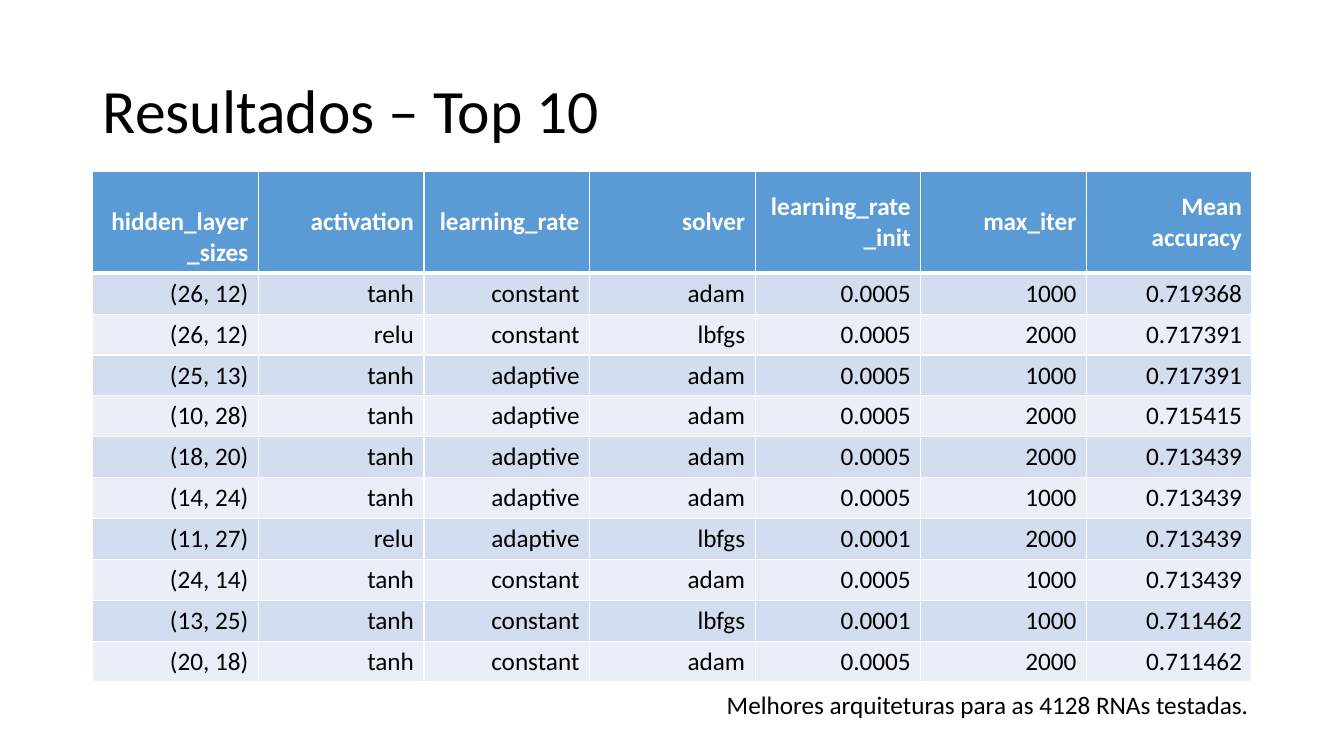
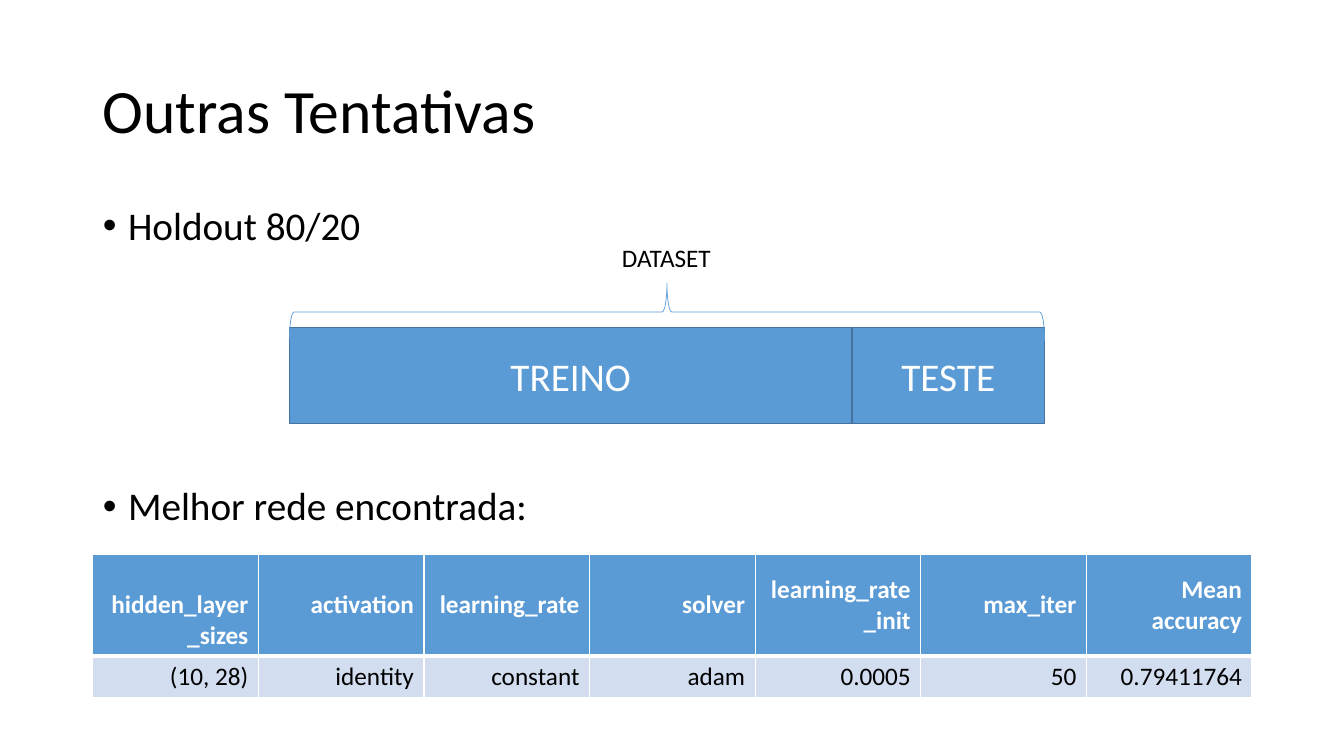
from lxml.etree import SubElement
from pptx import Presentation
from pptx.dml.color import RGBColor
from pptx.enum.shapes import MSO_SHAPE
from pptx.enum.text import MSO_ANCHOR, MSO_AUTO_SIZE, PP_ALIGN
from pptx.oxml.ns import qn
from pptx.util import Inches, Pt

FONT = "Calibri"
COLORS = {
    "text": "000000",
    "white": "FFFFFF",
    "accent": "5B9BD5",
    "outline": "43739E",
    "band_dark": "D2DEEF",
    "band_light": "EAEFF7",
}
LEFT, WIDTH = Inches(0.92), Inches(11.5)
HEADER_HEIGHT = Inches(1.01)
TITLE_ONLY, TITLE_AND_BODY = 5, 1

HEADERS = ["hidden_layer_sizes", "activation", "learning_rate", "solver",
           "learning_rate_init", "max_iter", "Mean\naccuracy"]
TOP_TEN = [
    ["(26, 12)", "tanh", "constant", "adam", "0.0005", "1000", "0.719368"],
    ["(26, 12)", "relu", "constant", "lbfgs", "0.0005", "2000", "0.717391"],
    ["(25, 13)", "tanh", "adaptive", "adam", "0.0005", "1000", "0.717391"],
    ["(10, 28)", "tanh", "adaptive", "adam", "0.0005", "2000", "0.715415"],
    ["(18, 20)", "tanh", "adaptive", "adam", "0.0005", "2000", "0.713439"],
    ["(14, 24)", "tanh", "adaptive", "adam", "0.0005", "1000", "0.713439"],
    ["(11, 27)", "relu", "adaptive", "lbfgs", "0.0001", "2000", "0.713439"],
    ["(24, 14)", "tanh", "constant", "adam", "0.0005", "1000", "0.713439"],
    ["(13, 25)", "tanh", "constant", "lbfgs", "0.0001", "1000", "0.711462"],
    ["(20, 18)", "tanh", "constant", "adam", "0.0005", "2000", "0.711462"],
]
BEST_NETWORK = [
    ["(10, 28)", "identity", "constant", "adam", "0.0005", "50", "0.79411764"],
]


def color(name):
    return RGBColor.from_string(COLORS[name])


def write(frame, text, size=18, ink="text", bold=False, align=PP_ALIGN.LEFT,
          anchor=MSO_ANCHOR.TOP, line_spacing=None, gap=0, hanging=None):
    """Fill a text frame, one paragraph a line, with gap points between them."""
    frame.text = text
    frame.vertical_anchor = anchor
    for index, para in enumerate(frame.paragraphs):
        if hanging is not None:
            properties = para._p.get_or_add_pPr()
            properties.set("marL", str(hanging))
            properties.set("indent", str(-hanging))
            SubElement(properties, qn("a:buChar")).set("char", "•")
        para.alignment = align
        para.line_spacing = line_spacing
        para.space_before = Pt(gap if index else 0)
        para.font.name = FONT
        para.font.size = Pt(size)
        para.font.bold = bold
        para.font.color.rgb = color(ink)


def place(shape, left, top, width, height):
    shape.left, shape.top, shape.width, shape.height = left, top, width, height


def add_page(deck, layout, title):
    page = deck.slides.add_slide(deck.slide_layouts[layout])
    place(page.shapes.title, LEFT, Inches(0.4), WIDTH, Inches(1.45))
    frame = page.shapes.title.text_frame
    frame.auto_size = MSO_AUTO_SIZE.NONE
    write(frame, title, size=44, anchor=MSO_ANCHOR.MIDDLE, line_spacing=0.9)
    return page


def add_label(page, text, left, top, width, height):
    box = page.shapes.add_textbox(left, top, width, height)
    box.text_frame.word_wrap = False
    box.text_frame.auto_size = MSO_AUTO_SIZE.SHAPE_TO_FIT_TEXT
    write(box.text_frame, text)


def add_borders(cell, top, bottom):
    properties = cell._tc.get_or_add_tcPr()
    for side, points in (("L", 1), ("R", 1), ("T", top), ("B", bottom)):
        line = SubElement(properties, qn(f"a:ln{side}"), w=str(Pt(points)))
        fill = SubElement(line, qn("a:solidFill"))
        SubElement(fill, qn("a:srgbClr"), val=COLORS["white"])


def add_results_table(page, rows, left, top, width, height):
    table = page.shapes.add_table(
        len(rows) + 1, len(HEADERS), left, top, width, height).table
    for column in table.columns:
        column.width = width // len(HEADERS)
    for index, row in enumerate(table.rows):
        row.height = (height - HEADER_HEIGHT) // len(rows) if index else HEADER_HEIGHT
    for row_index, values in enumerate([HEADERS] + rows):
        is_header = row_index == 0
        band = "band_dark" if row_index % 2 else "band_light"
        for column_index, value in enumerate(values):
            cell = table.cell(row_index, column_index)
            add_borders(cell, top=3 if row_index == 1 else 1,
                        bottom=3 if is_header else 1)
            cell.fill.solid()
            cell.fill.fore_color.rgb = color("accent" if is_header else band)
            write(cell.text_frame, value, bold=is_header, align=PP_ALIGN.RIGHT,
                  ink="white" if is_header else "text")
            cell.vertical_anchor = MSO_ANCHOR.MIDDLE
    table.cell(0, 0).margin_top = Inches(0.35)


def add_block(page, text, left, top, width, height):
    block = page.shapes.add_shape(MSO_SHAPE.RECTANGLE, left, top, width, height)
    block.shadow.inherit = False
    block.fill.solid()
    block.fill.fore_color.rgb = color("accent")
    block.line.color.rgb = color("outline")
    block.line.width = Pt(1)
    write(block.text_frame, text, size=28, ink="white",
          align=PP_ALIGN.CENTER, anchor=MSO_ANCHOR.MIDDLE)


def add_top_brace(page, left, top, width, height):
    """Turn a left brace so that it spans the given box and points up."""
    brace = page.shapes.add_shape(
        MSO_SHAPE.LEFT_BRACE, left + (width - height) // 2,
        top + (height - width) // 2, height, width)
    brace.rotation = 90
    brace.shadow.inherit = False
    brace.fill.background()
    brace.line.color.rgb = color("accent")
    brace.line.width = Pt(0.5)


def add_holdout_diagram(page, left, top, width, height):
    bar_height = Inches(0.95)
    bar_top = top + height - bar_height
    train_width = Inches(5.58)
    add_block(page, "TREINO", left, bar_top, train_width, bar_height)
    add_block(page, "TESTE", left + train_width, bar_top,
              width - train_width, bar_height)
    add_top_brace(page, left, top + Inches(0.45), width, Inches(0.57))
    label_width = Inches(1.09)
    add_label(page, "DATASET", left + (width - label_width) // 2, top,
              label_width, Inches(0.4))


def add_top_ten_page(deck):
    page = add_page(deck, TITLE_ONLY, "Resultados – Top 10")
    add_results_table(page, TOP_TEN, LEFT, Inches(1.7), WIDTH, Inches(5.06))
    add_label(page, "Melhores arquiteturas para as 4128 RNAs testadas.",
              Inches(7.11), Inches(6.79), Inches(5.43), Inches(0.4))


def add_attempts_page(deck):
    page = add_page(deck, TITLE_AND_BODY, "Outras Tentativas")
    body = page.placeholders[1]
    place(body, LEFT, Inches(2), WIDTH, Inches(4.76))
    body.text_frame.auto_size = MSO_AUTO_SIZE.NONE
    write(body.text_frame, "Holdout 80/20\nMelhor rede encontrada:", size=28,
          line_spacing=0.9, gap=170, hanging=Inches(0.25))
    add_results_table(page, BEST_NETWORK, LEFT, Inches(5.5), WIDTH, Inches(1.41))
    add_holdout_diagram(page, Inches(2.87), Inches(2.36), Inches(7.49), Inches(1.84))


def main():
    deck = Presentation()
    deck.slide_width, deck.slide_height = Inches(13.33), Inches(7.5)
    add_top_ten_page(deck)
    add_attempts_page(deck)
    deck.save("out.pptx")


if __name__ == "__main__":
    main()
